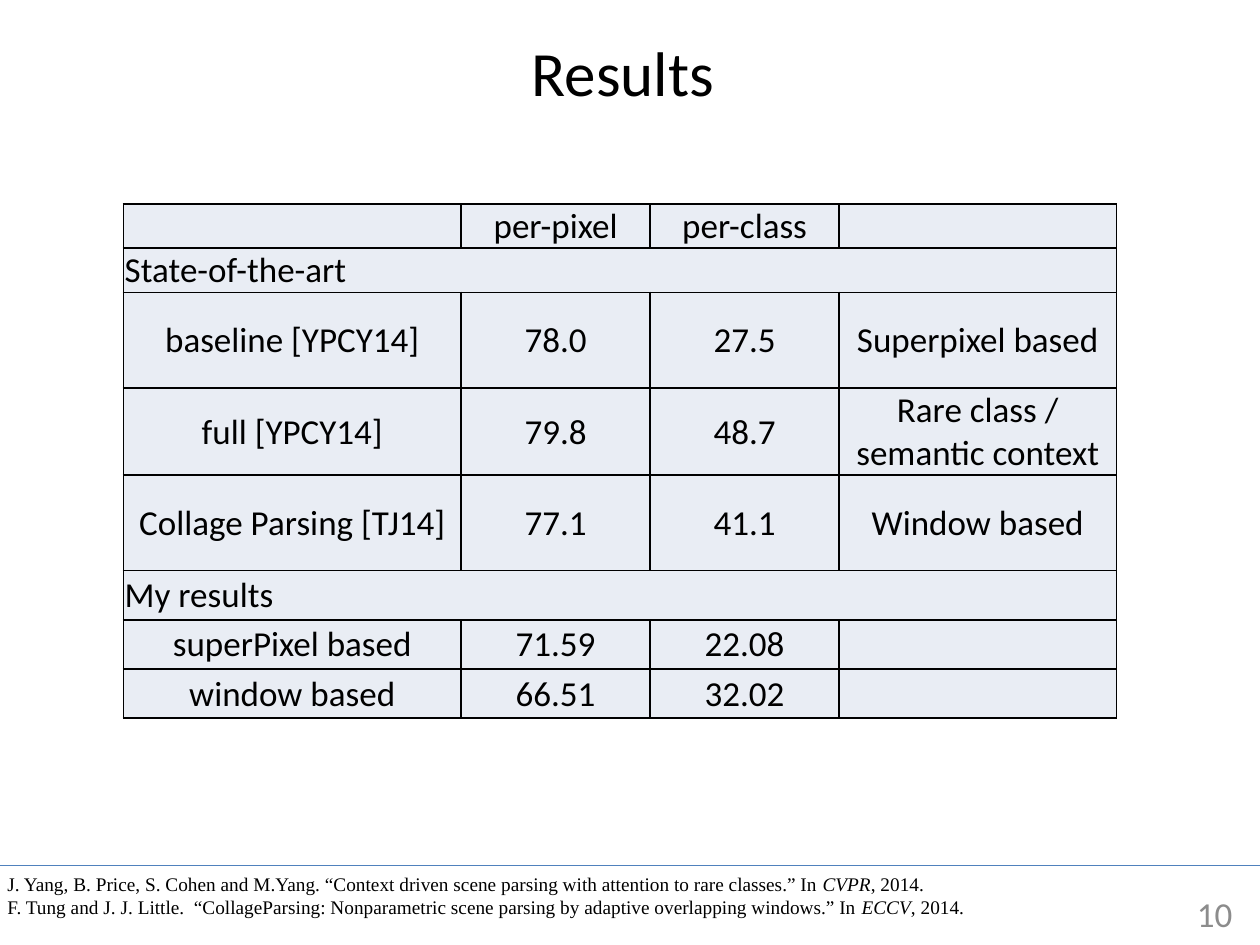
import pptx
import pptx.dml.color
import pptx.enum.shapes
import pptx.enum.text
import pptx.oxml
import pptx.oxml.ns
import pptx.util

Inches = pptx.util.Inches
Pt = pptx.util.Pt
ALIGN = pptx.enum.text.PP_ALIGN
MIDDLE = pptx.enum.text.MSO_ANCHOR.MIDDLE

COLUMN_WIDTHS = [2.68, 1.5, 1.5, 2.2]
ROW_HEIGHTS = [0.35, 0.35, 0.76, 0.69, 0.76, 0.39, 0.39, 0.39]
RESULTS = [
    ["", "per-pixel", "per-class", ""],
    ["State-of-the-art"],
    ["baseline [YPCY14]", "78.0", "27.5", "Superpixel based"],
    ["full [YPCY14]", "79.8", "48.7", "Rare class / semantic context"],
    ["Collage Parsing [TJ14]", "77.1", "41.1", "Window based"],
    ["My results"],
    ["superPixel based", "71.59", "22.08", ""],
    ["window based", "66.51", "32.02", ""],
]
REFERENCES = [
    ["J. Yang, B. Price, S. Cohen and M.Yang. “Context driven scene parsing "
     "with attention to rare classes.” In ", "CVPR", ", 2014."],
    ["F. Tung and J. J. Little.  “CollageParsing: Nonparametric scene parsing "
     "by adaptive overlapping windows.” In ", "ECCV", ", 2014."],
]


def rgb(color):
    return pptx.dml.color.RGBColor.from_string(color)


def write(frame, paragraphs, size=20, font="Calibri", color="000000", align=ALIGN.LEFT):
    """Fill the frame; each paragraph is a list of runs, every second one italic."""
    frame.word_wrap = True
    for index, runs in enumerate(paragraphs):
        paragraph = frame.paragraphs[0] if index == 0 else frame.add_paragraph()
        paragraph.alignment = align
        paragraph.font.size = Pt(size)
        for position, text in enumerate(runs):
            run = paragraph.add_run()
            run.text = text
            run.font.size = Pt(size)
            run.font.name = font
            run.font.color.rgb = rgb(color)
            run.font.italic = position % 2 == 1


def add_line_of_text(slide, box, text, **text_format):
    frame = slide.shapes.add_textbox(*map(Inches, box)).text_frame
    frame.vertical_anchor = MIDDLE
    write(frame, [[text]], **text_format)


def style_cell(cell):
    cell.fill.solid()
    cell.fill.fore_color.rgb = rgb("E9EDF4")
    cell.vertical_anchor = MIDDLE
    cell.margin_left = cell.margin_right = cell.margin_top = Inches(0.01)
    cell.margin_bottom = 0
    properties = cell._tc.get_or_add_tcPr()
    for index, side in enumerate(["lnL", "lnR", "lnT", "lnB"]):
        border = pptx.oxml.parse_xml(
            f'<a:{side} {pptx.oxml.ns.nsdecls("a")} w="{Pt(1)}"><a:solidFill>'
            f'<a:srgbClr val="000000"/></a:solidFill></a:{side}>')
        properties.insert(index, border)


def add_results_table(slide, left, top):
    box = (left, top, sum(COLUMN_WIDTHS), sum(ROW_HEIGHTS))
    table = slide.shapes.add_table(
        len(RESULTS), len(COLUMN_WIDTHS), *map(Inches, box)).table
    table.first_row = table.horz_banding = False
    for column, width in zip(table.columns, COLUMN_WIDTHS):
        column.width = Inches(width)
    for row, height in zip(table.rows, ROW_HEIGHTS):
        row.height = Inches(height)
    for cell in table.iter_cells():
        style_cell(cell)
    for row_index, texts in enumerate(RESULTS):
        is_section = len(texts) == 1
        if is_section:
            table.cell(row_index, 0).merge(table.cell(row_index, len(COLUMN_WIDTHS) - 1))
        for column_index, text in enumerate(texts):
            write(table.cell(row_index, column_index).text_frame, [[text] if text else []],
                  align=ALIGN.LEFT if is_section else ALIGN.CENTER)


def add_references(slide, box):
    footer = slide.shapes.add_shape(
        pptx.enum.shapes.MSO_SHAPE.RECTANGLE, *map(Inches, box))
    footer.shadow.inherit = False
    footer.fill.background()
    footer.line.color.rgb = rgb("4F81BD")
    footer.line.width = Pt(0.75)
    footer.text_frame.vertical_anchor = pptx.enum.text.MSO_ANCHOR.TOP
    write(footer.text_frame, REFERENCES, size=11, font="Times New Roman")


def main():
    presentation = pptx.Presentation()
    presentation.slide_width = Inches(10)
    presentation.slide_height = Inches(7.5)
    slide = presentation.slides.add_slide(presentation.slide_layouts[6])
    add_line_of_text(slide, (0.12, 0.13, 9.76, 0.87), "Results ",
                     size=36, align=ALIGN.CENTER)
    add_results_table(slide, 0.98, 1.62)
    add_line_of_text(slide, (7.55, 7.05, 2.33, 0.4), "10",
                     color="8C8C8C", align=ALIGN.RIGHT)
    add_references(slide, (-0.04, 6.87, 10.08, 0.66))
    presentation.save("out.pptx")


if __name__ == "__main__":
    main()
